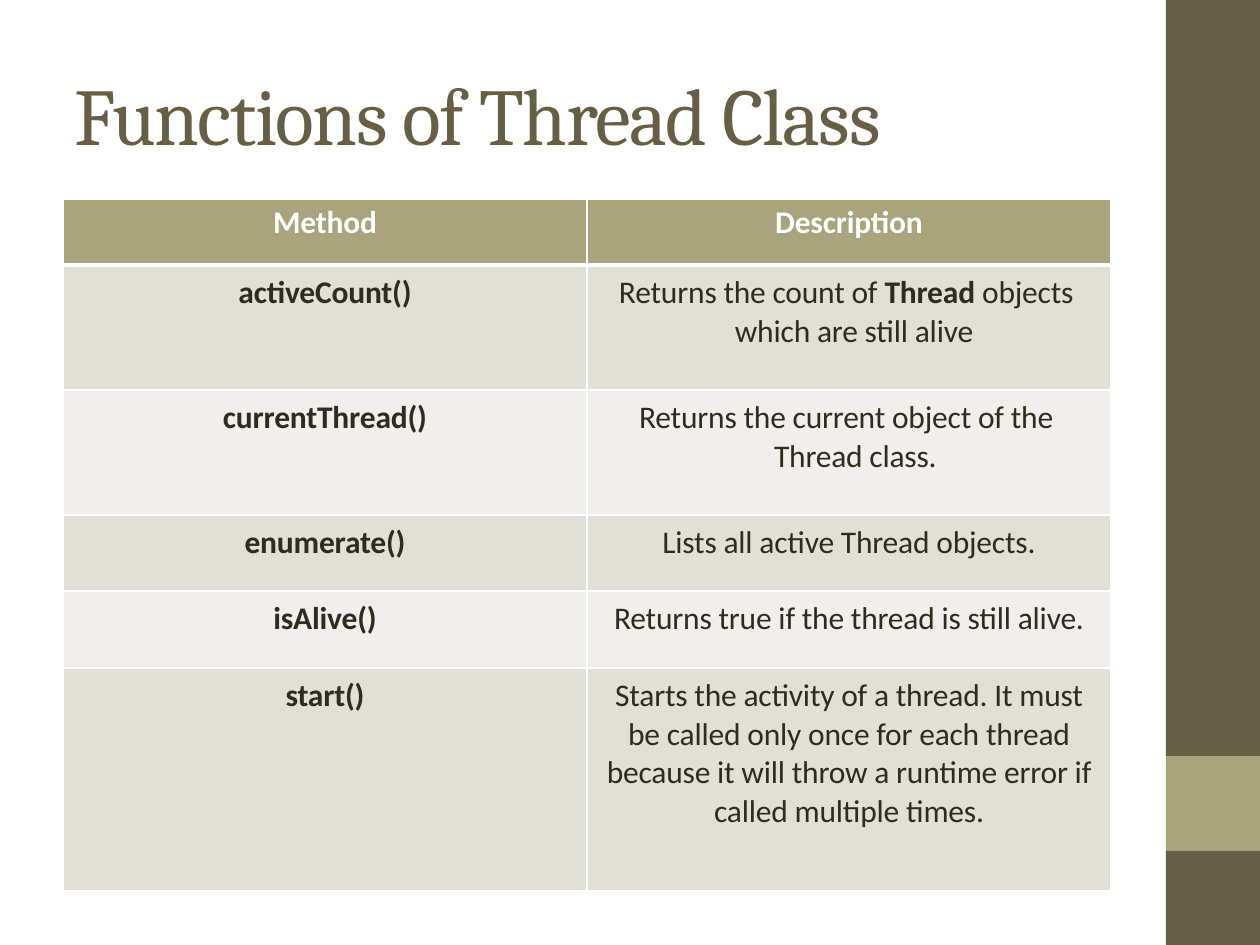
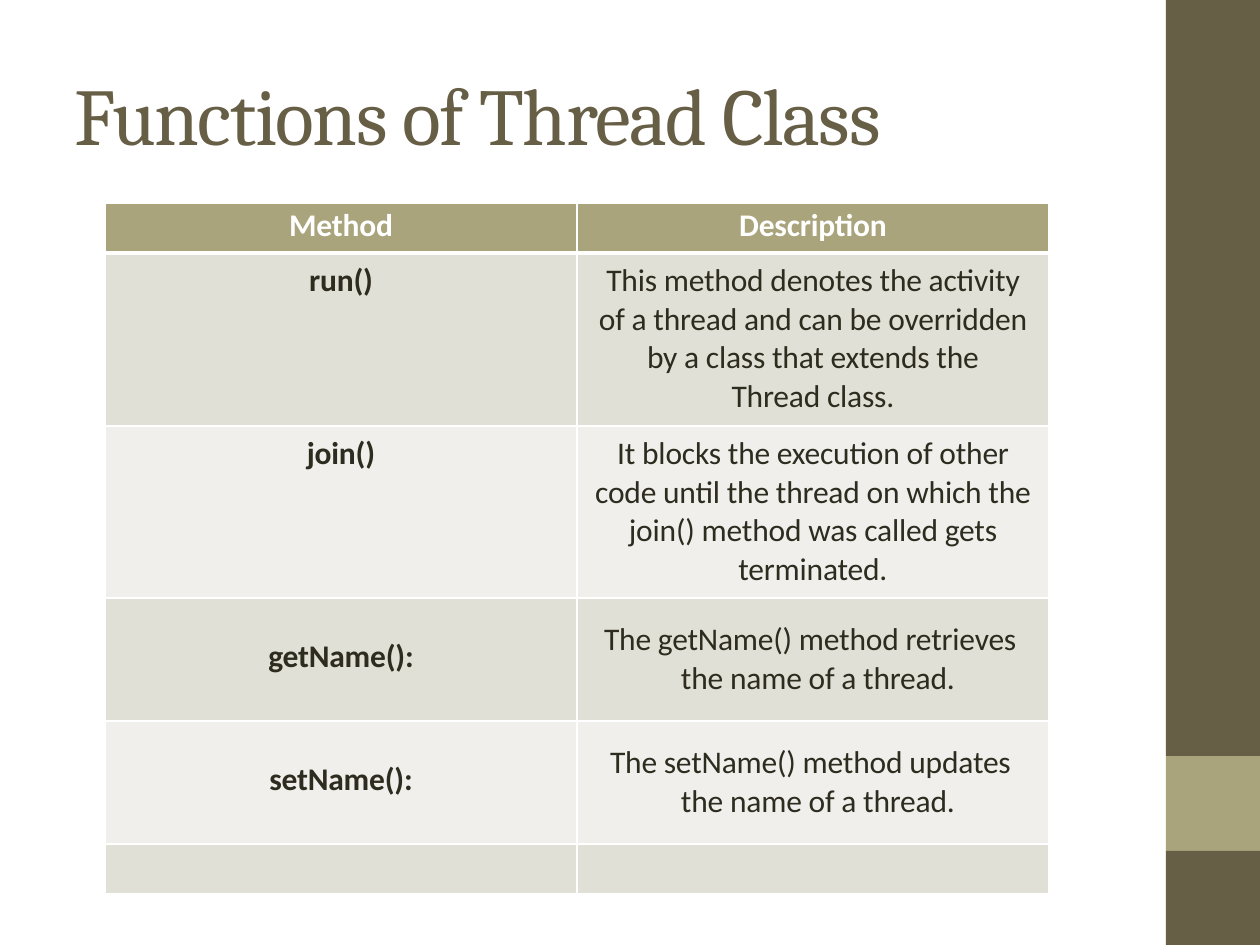
from dataclasses import dataclass

from lxml import etree
from pptx import Presentation
from pptx.dml.color import RGBColor
from pptx.enum.shapes import MSO_SHAPE
from pptx.enum.text import MSO_ANCHOR, MSO_AUTO_SIZE, PP_ALIGN
from pptx.oxml.ns import qn
from pptx.util import Emu, Pt

RECTANGLE = MSO_SHAPE.RECTANGLE
TOP = MSO_ANCHOR.TOP
NO_AUTOFIT = MSO_AUTO_SIZE.NONE
LEFT, CENTER = PP_ALIGN.LEFT, PP_ALIGN.CENTER

EMU_PER_PX = 914400 / 126
SLIDE_WIDTH, SLIDE_HEIGHT = 1260, 945
TITLE_ONLY = 5

WHITE = "FFFFFF"
BROWN = "675E46"
OLIVE = "A9A47B"
INK = "2E2B1F"
STRIPES = ("E1E0D6", "F0EFEB")

HEADING_FONT = "Cambria"
BODY_FONT = "Calibri"
TITLE = "Functions of Thread Class"
HEADINGS = ("Method", "Description")
HEADING_INSET = 4
TITLE_TRACKING = -85
BODY_TRACKING = -10


@dataclass(frozen=True)
class Band:
    top: int
    height: int
    color: str


@dataclass(frozen=True)
class Method:
    name: str
    description: str
    height: int
    name_inset: int = 9
    description_inset: int = 9
    side: int = 0
    first_line: int = 0
    next_lines: int = 0
    bold_word: str = ""


@dataclass(frozen=True)
class MethodTable:
    left: int
    top: int
    column_width: int
    heading_height: int
    methods: tuple[Method, ...]


BANDS = (
    Band(0, 756, BROWN),
    Band(756, 95, OLIVE),
    Band(851, 94, BROWN),
)
BAND_LEFT = 1166

TABLES = (
    MethodTable(63, 199, 524, 66, (
        Method("activeCount()",
               "Returns the count of Thread objects which are still alive",
               125, first_line=32, next_lines=148, bold_word="Thread"),
        Method("currentThread()",
               "Returns the current object of the Thread class.",
               125, first_line=52, next_lines=187),
        Method("enumerate()", "Lists all active Thread objects.", 76),
        Method("isAlive()", "Returns true if the thread is still alive.", 77),
        Method("start()",
               "Starts the activity of a thread. It must be called only once "
               "for each thread because it will throw a runtime error if "
               "called multiple times.",
               223, side=12),
    )),
    MethodTable(105, 203, 472, 50, (
        Method("run()",
               "This method denotes the activity of a thread and can be "
               "overridden by a class that extends the\vThread class.",
               173, side=15),
        Method("join()",
               "It blocks the execution of other code until the thread on "
               "which the join() method was called gets terminated.",
               172, side=10),
        Method("getName():",
               "The getName() method retrieves the name of a thread.",
               123, 40, 23, first_line=27, next_lines=104),
        Method("setName():",
               "The setName() method updates the name of a thread.",
               123, 40, 23, first_line=33, next_lines=104),
        Method("", "", 50),
    )),
)


def px(length: int) -> Emu:
    return Emu(round(length * EMU_PER_PX))


def rgb(color: str) -> RGBColor:
    return RGBColor.from_string(color)


def fill_solid(target, color: str) -> None:
    target.fill.solid()
    target.fill.fore_color.rgb = rgb(color)


def style_paragraph(paragraph, font_name: str, size: int, color: str,
                    bold: bool, tracking: int) -> None:
    font = paragraph.font
    font.name = font_name
    font.size = Pt(size)
    font.color.rgb = rgb(color)
    font.bold = bold
    for run in paragraph.runs:
        run._r.get_or_add_rPr().set("spc", str(tracking))


def draw_bands(slide) -> None:
    for band in BANDS:
        block = slide.shapes.add_shape(
            RECTANGLE, px(BAND_LEFT), px(band.top),
            px(SLIDE_WIDTH - BAND_LEFT), px(band.height))
        block.shadow.inherit = False
        fill_solid(block, band.color)
        block.line.fill.background()


def write_title(slide) -> None:
    title = slide.shapes.title
    title.left, title.top, title.width, title.height = map(px, (74, 64, 860, 100))
    frame = title.text_frame
    frame.auto_size = NO_AUTOFIT
    frame.word_wrap = True
    frame.vertical_anchor = TOP
    frame.margin_left = frame.margin_right = frame.margin_bottom = 0
    frame.margin_top = px(1)
    frame.text = TITLE
    heading = frame.paragraphs[0]
    heading.alignment = LEFT
    style_paragraph(heading, HEADING_FONT, 46, BROWN, False, TITLE_TRACKING)


def set_borders(cell, top: int, bottom: int) -> None:
    properties = cell._tc.get_or_add_tcPr()
    widths = {"a:lnL": 1, "a:lnR": 1, "a:lnT": top, "a:lnB": bottom}
    for position, (edge, width) in enumerate(widths.items()):
        line = etree.Element(qn(edge), w=str(Pt(width)))
        paint = etree.SubElement(line, qn("a:solidFill"))
        etree.SubElement(paint, qn("a:srgbClr"), val=WHITE)
        properties.insert(position, line)


def write_cell(cell, text: str, inset: int, fill: str, color: str = INK,
               bold: bool = True, side: int = 0, bold_word: str = ""):
    cell.vertical_anchor = TOP
    cell.margin_left = cell.margin_right = px(side)
    cell.margin_top, cell.margin_bottom = px(inset), 0
    fill_solid(cell, fill)
    paragraph = cell.text_frame.paragraphs[0]
    paragraph.alignment = CENTER
    if bold_word:
        for part in text.partition(bold_word):
            run = paragraph.add_run()
            run.text = part
            if part == bold_word:
                run.font.bold = True
    else:
        paragraph.text = text
    style_paragraph(paragraph, BODY_FONT, 18, color, bold, BODY_TRACKING)
    return paragraph


def hang_indent(paragraph, first_line: int, next_lines: int) -> None:
    paragraph.alignment = LEFT
    properties = paragraph._p.get_or_add_pPr()
    properties.set("marL", str(px(next_lines)))
    properties.set("indent", str(px(first_line - next_lines)))


def draw_table(slide, spec_table: MethodTable) -> None:
    heights = [spec_table.heading_height] + [m.height for m in spec_table.methods]
    table = slide.shapes.add_table(
        len(heights), len(HEADINGS), px(spec_table.left), px(spec_table.top),
        px(spec_table.column_width * len(HEADINGS)), px(sum(heights))).table
    for column in table.columns:
        column.width = px(spec_table.column_width)
    for row, height in zip(table.rows, heights):
        row.height = px(height)

    for cell, heading in zip(table.rows[0].cells, HEADINGS):
        write_cell(cell, heading, HEADING_INSET, OLIVE, WHITE)
        set_borders(cell, 1, 3)

    for index, method in enumerate(spec_table.methods):
        name_cell, description_cell = table.rows[index + 1].cells
        stripe = STRIPES[index % len(STRIPES)]
        write_cell(name_cell, method.name, method.name_inset, stripe)
        description = write_cell(
            description_cell, method.description, method.description_inset,
            stripe, bold=False, side=method.side, bold_word=method.bold_word)
        if method.next_lines:
            hang_indent(description, method.first_line, method.next_lines)
        for cell in (name_cell, description_cell):
            set_borders(cell, 3 if index == 0 else 1, 1)


def main() -> None:
    deck = Presentation()
    deck.slide_width, deck.slide_height = px(SLIDE_WIDTH), px(SLIDE_HEIGHT)
    for method_table in TABLES:
        slide = deck.slides.add_slide(deck.slide_layouts[TITLE_ONLY])
        draw_bands(slide)
        write_title(slide)
        draw_table(slide, method_table)
    deck.save("out.pptx")


if __name__ == "__main__":
    main()
